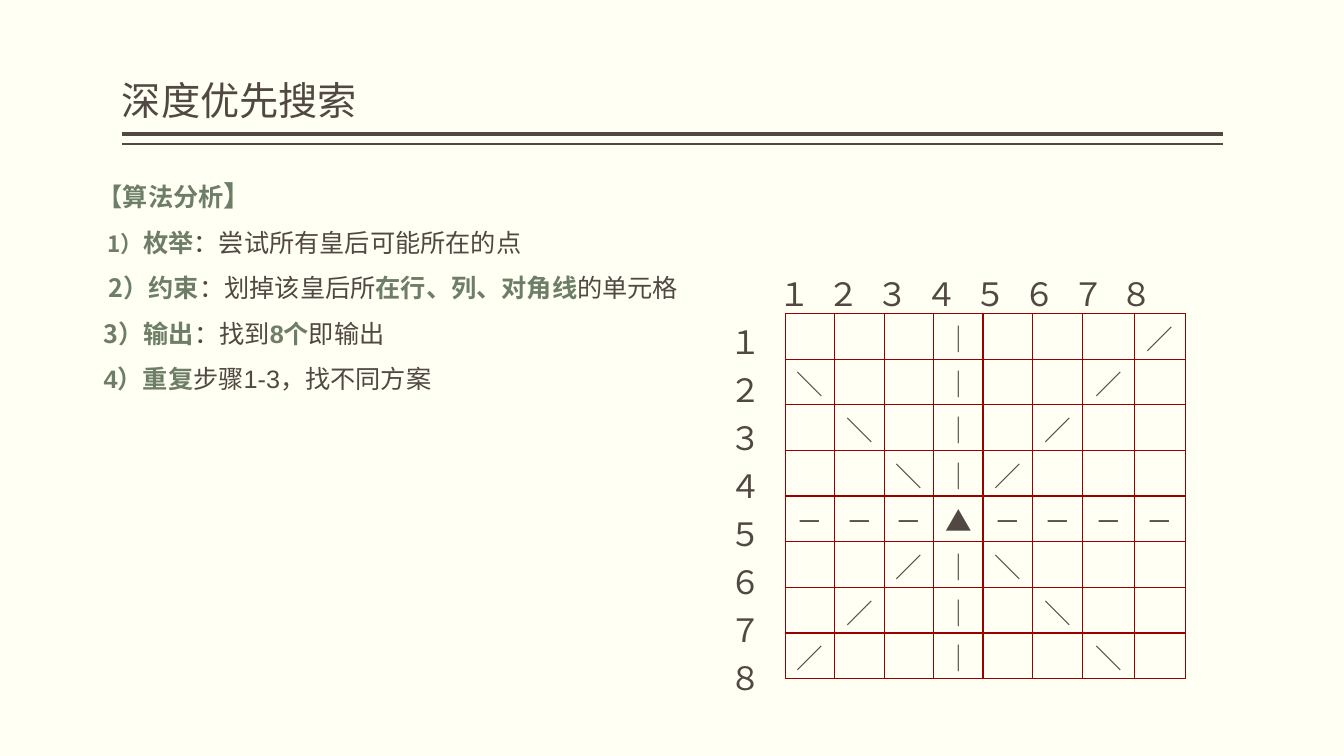
from lxml import etree
from pptx import Presentation
from pptx.dml.color import RGBColor
from pptx.enum.shapes import MSO_CONNECTOR
from pptx.enum.text import MSO_ANCHOR, PP_ALIGN
from pptx.oxml.ns import qn
from pptx.util import Inches, Pt

CREAM = RGBColor(0xFF, 0xFF, 0xF3)
BROWN = RGBColor(0x51, 0x48, 0x43)
GREEN = RGBColor(0x6D, 0x7D, 0x66)
RED = RGBColor(0x99, 0x00, 0x00)
CJK = "Noto Sans CJK SC"
LATIN = "Arial"
PLAIN_TABLE = "{2D5ABB26-0587-4C30-8999-92F81FD0307C}"
DIGITS = "１２３４５６７８"
BOARD_SIZE = len(DIGITS)
QUEEN_ROW, QUEEN_COLUMN = 4, 3

# Each line: left indent in inches, then runs of (text, size, latin font, is key phrase)
ANALYSIS = [
    (0, [("【算法分析", 18, CJK, True), ("】", 20, CJK, True)]),
    (0.1, [("1）", 16, CJK, True), ("枚举", 18, CJK, True),
           ("：尝试所有皇后可能所在的点", 18, CJK, False)]),
    (0.11, [("2）约束", 18, CJK, True), ("：划掉该皇后所", 18, LATIN, False),
            ("在行、列、对角线", 18, LATIN, True), ("的单元格", 18, LATIN, False)]),
    (0.06, [("3）输出", 18, CJK, True), ("：找到", 18, LATIN, False),
            ("8个", 18, LATIN, True), ("即输出", 18, LATIN, False)]),
    (0.06, [("4）重复", 18, LATIN, True), ("步骤1-3，找不同方案", 18, LATIN, False)]),
]


def add_run(paragraph, text, size, font=CJK, color=BROWN, bold=False):
    run = paragraph.add_run()
    run.text = text
    run.font.size = Pt(size)
    run.font.bold = bold
    run.font.color.rgb = color
    run.font.name = font
    etree.SubElement(run.font._element, qn("a:ea")).set("typeface", CJK)


def add_rule(slide, left, right, y, weight):
    rule = slide.shapes.add_connector(
        MSO_CONNECTOR.STRAIGHT, Inches(left), Inches(y), Inches(right), Inches(y))
    rule.line.color.rgb = BROWN
    rule.line.width = Pt(weight)
    etree.SubElement(rule._element.spPr, qn("a:effectLst"))


def add_heading(slide, left, top, width, height):
    """Place the title at the foot of its box, with a double rule below."""
    heading = slide.shapes.add_textbox(
        Inches(left), Inches(top), Inches(width), Inches(height)).text_frame
    heading.word_wrap = True
    heading.vertical_anchor = MSO_ANCHOR.BOTTOM
    heading.margin_left = heading.margin_right = 0
    heading.paragraphs[0].line_spacing = 0.9
    add_run(heading.paragraphs[0], "深度优先搜索", 28)
    bottom = top + height
    add_rule(slide, left, left + width, bottom + 0.05, 3)
    add_rule(slide, left, left + width, bottom + 0.15, 1)


def add_analysis(slide, left, top, width, height):
    analysis = slide.shapes.add_textbox(
        Inches(left), Inches(top), Inches(width), Inches(height)).text_frame
    analysis.word_wrap = True
    for index, (indent, phrases) in enumerate(ANALYSIS):
        step = analysis.add_paragraph() if index else analysis.paragraphs[0]
        step.line_spacing = Pt(32.5)
        step._p.get_or_add_pPr().set("marL", str(Inches(indent)))
        for text, size, font, is_key in phrases:
            add_run(step, text, size, font, GREEN if is_key else BROWN, is_key)


def add_grid(slide, left, top, widths, row_height, rows):
    """Add a table without style, fill or vertical cell margins."""
    frame = slide.shapes.add_table(
        rows, len(widths), Inches(left), Inches(top),
        Inches(sum(widths)), Inches(row_height * rows))
    grid = frame.table
    grid.first_row = grid.horz_banding = False
    grid._tbl.tblPr.find(qn("a:tableStyleId")).text = PLAIN_TABLE
    for column, width in zip(grid.columns, widths):
        column.width = Inches(width)
    for row in grid.rows:
        row.height = Inches(row_height)
    for cell in grid.iter_cells():
        cell.margin_top = cell.margin_bottom = 0
        cell.vertical_anchor = MSO_ANCHOR.MIDDLE
        cell.fill.background()
    return grid


def write_cell(cell, text, size):
    paragraph = cell.text_frame.paragraphs[0]
    paragraph.alignment = PP_ALIGN.CENTER
    add_run(paragraph, text, size)


def add_border(cell):
    properties = cell._tc.get_or_add_tcPr()
    for index, side in enumerate(("a:lnL", "a:lnR", "a:lnT", "a:lnB")):
        border = etree.Element(qn(side), w=str(Pt(1)))
        fill = etree.SubElement(border, qn("a:solidFill"))
        etree.SubElement(fill, qn("a:srgbClr")).set("val", str(RED))
        properties.insert(index, border)


def attack_mark(row, column):
    """Symbol for a square, given the line on which the queen attacks it."""
    down, across = row - QUEEN_ROW, column - QUEEN_COLUMN
    if down == 0 and across == 0:
        return "▲"
    if down == 0:
        return "－"
    if across == 0:
        return "｜"
    if down == across:
        return "＼"
    return "／" if down == -across else ""


def add_chessboard(slide, left, top):
    """Place the numbered frame, then the board of attacked squares on it."""
    labels = add_grid(slide, left, top, [0.485] * (BOARD_SIZE + 1), 0.476, BOARD_SIZE + 1)
    for number, digit in enumerate(DIGITS, 1):
        write_cell(labels.cell(0, number), digit, 23)
        write_cell(labels.cell(number, 0), digit, 23)
    labels.cell(1, 1).merge(labels.cell(BOARD_SIZE, BOARD_SIZE))

    widths = [0.49] * 5 + [0.5, 0.51, 0.51]
    board = add_grid(slide, left + 0.65, top + 0.45, widths, 0.453, BOARD_SIZE)
    for row in range(BOARD_SIZE):
        for column in range(BOARD_SIZE):
            square = board.cell(row, column)
            square.margin_top = Inches(0.03)
            add_border(square)
            mark = attack_mark(row, column)
            if mark:
                write_cell(square, mark, 19)


def main():
    deck = Presentation()
    deck.slide_width, deck.slide_height = Inches(13.33), Inches(7.5)
    slide = deck.slides.add_slide(deck.slide_layouts[6])
    slide.background.fill.solid()
    slide.background.fill.fore_color.rgb = CREAM
    add_heading(slide, 1.21, 0.08, 10.92, 1.2)
    add_analysis(slide, 0.87, 1.6, 11.14, 2.67)
    add_chessboard(slide, 7.14, 2.66)
    deck.save("out.pptx")


if __name__ == "__main__":
    main()
